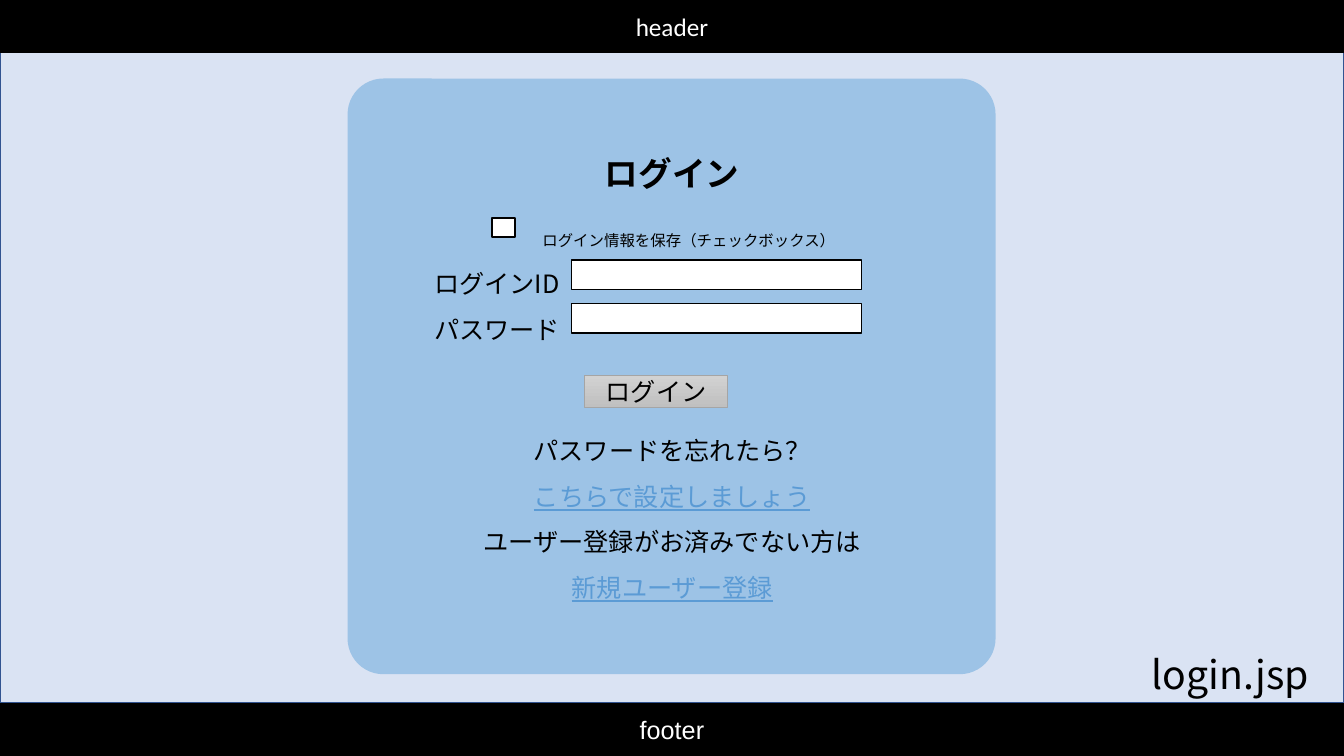
from pptx import Presentation
from pptx.dml.color import RGBColor
from pptx.enum.shapes import MSO_SHAPE
from pptx.enum.text import MSO_ANCHOR, PP_ALIGN
from pptx.util import Cm, Pt

RECTANGLE = MSO_SHAPE.RECTANGLE
ROUNDED = MSO_SHAPE.ROUNDED_RECTANGLE
TOP = MSO_ANCHOR.TOP
MIDDLE = MSO_ANCHOR.MIDDLE
LEFT = PP_ALIGN.LEFT
CENTER = PP_ALIGN.CENTER

COLORS = {
    "black": "000000",
    "white": "FFFFFF",
    "page": "DAE3F3",
    "page_edge": "325491",
    "card": "9DC3E6",
    "link": "5B9BD5",
    "button_top": "D2D2D2",
    "button_bottom": "C0C0C0",
    "button_edge": "A5A5A5",
}
JAPANESE = "Noto Sans CJK JP"
WIDTH, HEIGHT, BAR_HEIGHT = 33.87, 19.05, 1.32


def color(name):
    return RGBColor.from_string(COLORS[name])


def write(paragraph, text, size=18, font=JAPANESE, ink="black", bold=False,
          underline=False, align=CENTER, line=None, before=0, indent=0):
    paragraph.alignment = align
    paragraph.space_before = Pt(before)
    if line:
        paragraph.line_spacing = Pt(line)
    if indent:
        paragraph._p.get_or_add_pPr().set("marL", str(Pt(indent)))
    run = paragraph.add_run()
    run.text = text
    run.font.size = Pt(size)
    run.font.name = font
    run.font.bold = bold
    run.font.underline = underline
    run.font.color.rgb = color(ink)
    properties = run._r.get_or_add_rPr()
    east_asian = properties.makeelement(
        properties.find("{*}latin").tag.replace("latin", "ea"), {"typeface": font})
    properties.find("{*}latin").addnext(east_asian)


class LoginPage:
    def __init__(self, presentation):
        self.slide = presentation.slides.add_slide(presentation.slide_layouts[6])

    def box(self, left, top, width, height, fill, edge=None, edge_width=1, kind=RECTANGLE):
        shape = self.slide.shapes.add_shape(kind, Cm(left), Cm(top), Cm(width), Cm(height))
        shape.shadow.inherit = False
        shape.fill.solid()
        shape.fill.fore_color.rgb = color(fill)
        if edge:
            shape.line.color.rgb = color(edge)
            shape.line.width = Pt(edge_width)
        else:
            shape.line.fill.background()
        return shape

    def card(self, left, top, width, height):
        shape = self.box(left, top, width, height, "card", kind=ROUNDED)
        shape.adjustments[0] = 0.06

    def bar(self, top, text, font):
        shape = self.box(0, top, WIDTH, BAR_HEIGHT, "black", "black")
        write(shape.text_frame.paragraphs[0], text, font=font, ink="white")

    def button(self, left, top, width, height, text):
        shape = self.box(left, top, width, height, "button_top", "button_edge", 0.5)
        shape.fill.gradient()
        shape.fill.gradient_angle = 270
        for stop, name in zip(shape.fill.gradient_stops, ("button_top", "button_bottom")):
            stop.color.rgb = color(name)
        frame = shape.text_frame
        frame.margin_top = frame.margin_bottom = 0
        frame.vertical_anchor = MIDDLE
        write(frame.paragraphs[0], text)

    def form(self, left, top, width, height, lines):
        frame = self.box(left, top, width, height, "card").text_frame
        frame.margin_top = frame.margin_bottom = 0
        frame.vertical_anchor = TOP
        for index, (text, style) in enumerate(lines):
            paragraph = frame.add_paragraph() if index else frame.paragraphs[0]
            write(paragraph, text, **{"line": 32.5, **style})

    def label(self, left, top, width, height, text, size):
        frame = self.slide.shapes.add_textbox(
            Cm(left), Cm(top), Cm(width), Cm(height)).text_frame
        frame.word_wrap = True
        write(frame.paragraphs[0], text, size=size, align=LEFT, line=34)


presentation = Presentation()
presentation.slide_width = Cm(WIDTH)
presentation.slide_height = Cm(HEIGHT)

LINK = {"ink": "link", "underline": True}
FORM_LINES = [
    ("ログイン", {"size": 24, "bold": True, "line": 45.4}),
    ("ログイン情報を保存（チェックボックス）", {"size": 11, "line": 39.8, "indent": 24}),
    ("ログインID", {"align": LEFT, "line": 35.4}),
    ("パスワード", {"align": LEFT}),
    ("パスワードを忘れたら？", {"before": 54}),
    ("こちらで設定しましょう", LINK),
    ("ユーザー登録がお済みでない方は", {}),
    ("新規ユーザー登録", LINK),
]

page = LoginPage(presentation)
page.box(0, BAR_HEIGHT, WIDTH, 16.38, "page", "page_edge")
page.card(8.76, 1.98, 16.33, 15.01)
page.bar(0, "header", "Calibri")
page.bar(HEIGHT - BAR_HEIGHT, "footer", "Arial")
page.label(28.78, 16.26, 5.08, 1.45, "login.jsp", 28)
page.form(10.69, 3.28, 12.5, 12.98, FORM_LINES)
page.button(14.73, 9.45, 3.61, 0.81, "ログイン")
for row in range(2):
    page.box(14.4, 6.55 + row * 1.1, 7.32, 0.74, "white", "black")
page.box(12.4, 5.49, 0.58, 0.48, "white", "black")

presentation.save("out.pptx")
